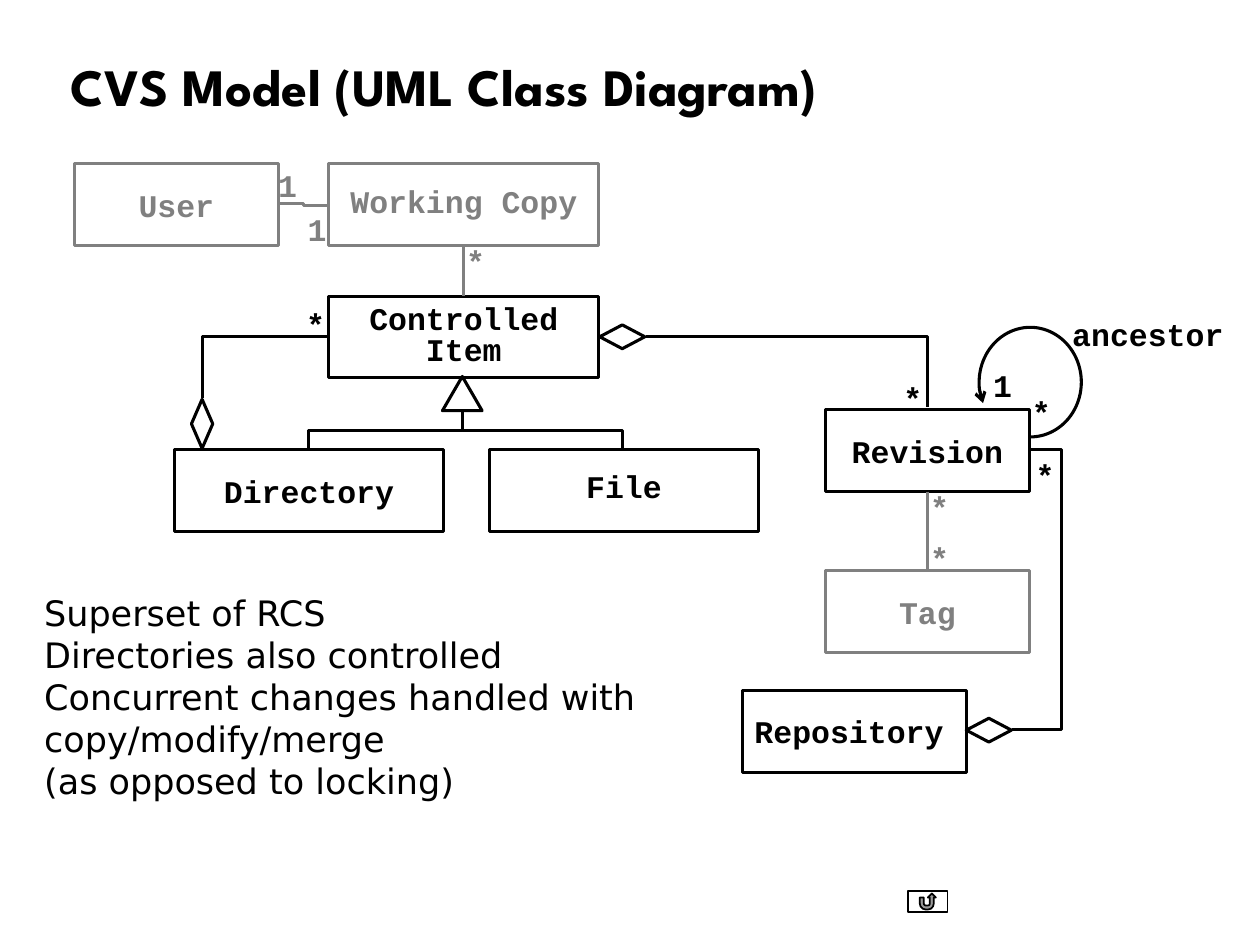
"""Build a UML class diagram slide of the CVS model."""
from lxml import etree
from pptx import Presentation
from pptx import util as u
from pptx.dml.color import RGBColor
from pptx.enum import shapes, text
from pptx.oxml.ns import qn

HUES = {"ink": "000000", "dim": "808080", "paper": "FFFFFF"}
MONO, SANS, HEAD = "Courier New", "DejaVu Sans", "League Spartan"
KIND, LINK, SIDE = shapes.MSO_SHAPE, shapes.MSO_CONNECTOR, text.PP_ALIGN
TITLE = "CVS Model (UML Class Diagram)"
NOTES = ["Superset of RCS", "Directories also controlled",
         "Concurrent changes handled with copy/modify/merge\v(as opposed to locking)"]
TALL = 1.65
# name, left, top, width, hue, line spacing, alignment
BOXES = [
    ("Revision", 16.64, 8.26, 4.11, "ink", 1, SIDE.CENTER),
    ("Controlled Item", 6.63, 5.97, 5.44, "ink", 0.8, SIDE.CENTER),
    ("Directory", 3.51, 9.07, 5.44, "ink", 1, SIDE.CENTER),
    ("File", 9.86, 9.07, 5.44, "ink", 0.7, SIDE.CENTER),
    ("Repository", 14.96, 13.92, 4.52, "ink", 1, SIDE.LEFT),
    ("Tag", 16.64, 11.51, 4.11, "dim", 1, SIDE.CENTER),
    ("Working Copy", 6.63, 3.3, 5.44, "dim", 0.8, SIDE.CENTER),
    ("User", 1.5, 3.3, 4.11, "dim", 1, SIDE.CENTER),
]
PAIRS = [("Revision", "Tag"), ("Working Copy", "Controlled Item")]
# start, end, turn, hue, preset, bend
BENDS = [
    ((4.09, 8.03), (6.6, 6.78), 90, "ink", "bentConnector2", None),
    ((18.69, 8.2), (13.03, 6.78), 270, "ink", "bentConnector2", None),
    ((9.32, 8.31), (6.22, 9.04), 90, "ink", "bentConnector3", 0.5),
    ((9.32, 8.31), (12.55, 9.04), 270, "ink", "bentConnector3", 0.5),
    ((20.4, 14.71), (20.78, 9.07), 0, "ink", "bentConnector3", 2.62),
    ((6.6, 4.14), (5.64, 4.11), 0, "dim", "bentConnector3", 0.5),
]
ENDS = [
    (KIND.DIAMOND, 12.09, 6.55, 0.91, 0.48),
    (KIND.DIAMOND, 3.86, 8.05, 0.43, 0.99),
    (KIND.DIAMOND, 19.48, 14.48, 0.91, 0.48),
    (KIND.ISOSCELES_TRIANGLE, 8.92, 7.59, 0.8, 0.69),
]
MARKS = [
    ("*", 6.17, 6.15, "ink"), ("*", 18.21, 7.65, "ink"),
    ("*", 20.88, 9.19, "ink"), ("*", 20.8, 7.92, "ink"),
    ("1", 20.02, 7.37, "ink"), ("*", 18.75, 9.83, "dim"),
    ("*", 18.75, 10.87, "dim"), ("*", 9.4, 4.88, "dim"),
    ("1", 5.61, 3.35, "dim"), ("1", 6.2, 4.24, "dim"),
]


def rgb(hue):
    return RGBColor.from_string(HUES[hue])


def draw(line, hue, width=1.75):
    line.color.rgb = rgb(hue)
    line.width = u.Pt(width)


def shape(page, kind, area, hue="ink", fill=None, width=1.75):
    item = page.shapes.add_shape(kind, *map(u.Cm, area))
    item.shadow.inherit = False
    if fill:
        item.fill.solid()
        item.fill.fore_color.rgb = rgb(fill)
    else:
        item.fill.background()
    draw(item.line, hue, width)
    return item


def write(item, words, size, face, hue="ink", bold=True, align=SIDE.LEFT,
          gap=1, wrap=True, anchor=text.MSO_ANCHOR.MIDDLE):
    frame = item.text_frame
    frame.text = words
    frame.word_wrap, frame.vertical_anchor = wrap, anchor
    for para in frame.paragraphs:
        para.alignment, para.line_spacing = align, gap
        font = para.font
        font.size, font.name, font.bold = u.Pt(size), face, bold
        font.color.rgb = rgb(hue)
    return frame


def label(page, area, *args, **opts):
    item = page.shapes.add_textbox(*map(u.Cm, area))
    return write(item, *args, **opts)


def link(page, kind, start, end, hue):
    item = page.shapes.add_connector(kind, *map(u.Cm, (*start, *end)))
    draw(item.line, hue)
    etree.SubElement(item._element.spPr, qn("a:effectLst"))
    return item


def bend(page, start, end, turn, hue, preset, ratio):
    mid = [(a + b) / 2 for a, b in zip(start, end)]
    x, y = start[0] - mid[0], start[1] - mid[1]
    x, y = {0: (x, y), 90: (y, -x), 270: (-y, x)}[turn]
    item = link(page, LINK.ELBOW, (mid[0] + x, mid[1] + y),
                (mid[0] - x, mid[1] - y), hue)
    props = item._element.spPr
    props.find(qn("a:xfrm")).set("rot", str(turn * 60000))
    geom = props.find(qn("a:prstGeom"))
    geom.set("prst", preset)
    if ratio:
        etree.SubElement(geom.find(qn("a:avLst")), qn("a:gd"), name="adj1",
                         fmla=f"val {round(ratio * 100000)}")


def main():
    deck = Presentation()
    deck.slide_width, deck.slide_height = u.Cm(25.4), u.Cm(19.05)
    page = deck.slides.add_slide(deck.slide_layouts[6])
    shape(page, KIND.ACTION_BUTTON_RETURN, (18.31, 17.96, 0.79, 0.43),
          fill="paper", width=1)
    label(page, (1.17, 0.61, 22.66, 2.39), TITLE, 30, HEAD, gap=0.9)
    label(page, (0.64, 11.79, 14.22, 5.08), "\n".join(NOTES), 20, SANS,
          bold=False, anchor=text.MSO_ANCHOR.TOP)

    nodes = {}
    for name, left, top, wide, hue, gap, align in BOXES:
        node = shape(page, KIND.RECTANGLE, (left, top, wide, TALL), hue)
        write(node, name, 18, MONO, hue, align=align, gap=gap)
        nodes[name] = node
    for upper, lower in PAIRS:
        line = link(page, LINK.STRAIGHT, (0, 0), (1, 1), "dim")
        line.begin_connect(nodes[upper], 2)
        line.end_connect(nodes[lower], 0)
    for row in BENDS:
        bend(page, *row)
    for kind, *area in ENDS:
        shape(page, kind, area, fill="paper")

    loop = shape(page, KIND.ARC, (19.74, 6.6, 2.06, 2.21))
    for i, angle in enumerate((156, 90)):
        loop.adjustments[i] = angle * 0.6
    etree.SubElement(loop.line._get_or_add_ln(), qn("a:headEnd"), type="arrow")
    label(page, (21.36, 6.22, 3.56, 1.02), "ancestor", 18, MONO,
          align=SIDE.CENTER, wrap=False)
    for sign, left, top, hue in MARKS:
        frame = label(page, (left, top, 0.38, 0.76), sign, 18, MONO, hue,
                      wrap=False, anchor=text.MSO_ANCHOR.TOP)
        frame.margin_left = frame.margin_right = 0
        frame.margin_top = frame.margin_bottom = 0
    deck.save("out.pptx")


if __name__ == "__main__":
    main()
